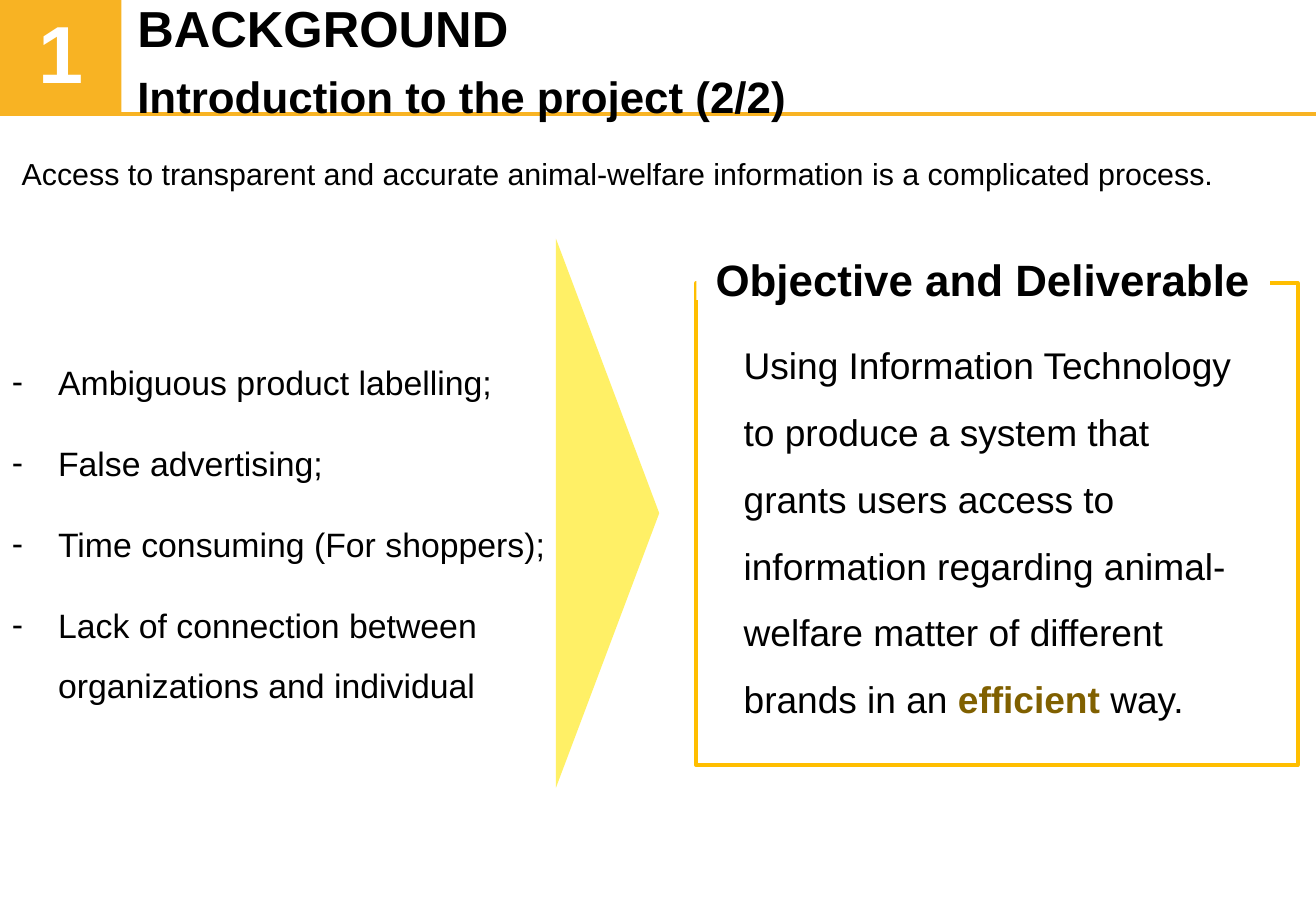
import pptx
import pptx.util
from pptx.dml.color import RGBColor
from pptx.enum.dml import MSO_FILL
from pptx.enum.shapes import MSO_CONNECTOR, MSO_SHAPE
from pptx.enum.text import MSO_ANCHOR, MSO_AUTO_SIZE, PP_ALIGN
from pptx.oxml.ns import qn
from lxml import etree

PX = 9144  # EMU per px, 100 px to the inch
ORANGE = RGBColor(0xF8, 0xB3, 0x23)
AMBER = RGBColor(0xFF, 0xBE, 0x00)
YELLOW = RGBColor(0xFF, 0xE6, 0x00)
BROWN = RGBColor(0x80, 0x60, 0x00)
BLACK = RGBColor(0, 0, 0)
WHITE = RGBColor(0xFF, 0xFF, 0xFF)


def add_block(kind, box, fill=None, line=None):
    sp = s.shapes.add_shape(kind, *[v * PX for v in box])
    sp.shadow.inherit = False
    if fill is None:
        sp.fill.background()
    else:
        sp.fill.solid()
        sp.fill.fore_color.rgb = fill
    if line is None:
        sp.line.fill.background()
    else:
        sp.line.color.rgb = line
        sp.line.width = pptx.util.Pt(2.25)
    return sp


def write(sp, paragraphs, insets=(10, 5, 10, 5), anchor=MSO_ANCHOR.TOP,
          before=0, **paragraph_format):
    """Fill a shape with paragraphs, each a list of (text, font values)."""
    tf = sp.text_frame
    frame = {"word_wrap": True, "auto_size": MSO_AUTO_SIZE.NONE, "vertical_anchor": anchor}
    for side, inset in zip(("left", "top", "right", "bottom"), insets):
        frame["margin_" + side] = inset * PX
    for name, value in frame.items():
        setattr(tf, name, value)
    for i, runs in enumerate(paragraphs):
        p = tf.paragraphs[0] if i == 0 else tf.add_paragraph()
        p.space_before = pptx.util.Pt(before if i else 0)
        for name, value in paragraph_format.items():
            setattr(p, name, value)
        for text, font in runs:
            r = p.add_run()
            r.text = text
            r.font.name = "Arial"
            r.font.color.rgb = font.get("color", BLACK)
            r.font.size = pptx.util.Pt(font["size"])
            r.font.bold = font.get("bold", False)
    return tf


prs = pptx.Presentation()
prs.slide_width, prs.slide_height = 1083 * PX, 750 * PX
s = prs.slides.add_slide(prs.slide_layouts[5])

# Header
number = add_block(MSO_SHAPE.RECTANGLE, (0, 0, 100, 94), fill=ORANGE)
write(number, [[("1", {"size": 48, "bold": True, "color": WHITE})]],
      anchor=MSO_ANCHOR.MIDDLE, alignment=PP_ALIGN.CENTER, line_spacing=0.9)

rule = s.shapes.add_connector(MSO_CONNECTOR.STRAIGHT, 0, 94 * PX, 1083 * PX, 94 * PX)
rule.line.color.rgb = ORANGE
rule.line.width = pptx.util.Pt(2.25)
etree.SubElement(rule.element.spPr, qn("a:effectLst"))

title = s.shapes.title
title.left, title.top, title.width, title.height = [v * PX for v in (103, -2, 980, 96)]
write(title, [[("BACKGROUND", {"size": 30, "bold": True})],
              [("Introduction to the project (2/2)", {"size": 26, "bold": True})]],
      before=10, alignment=PP_ALIGN.LEFT, line_spacing=0.9)
title.element.getparent().append(title.element)  # in front of the rule

# Lead sentence
lead = s.shapes.add_textbox(*[v * PX for v in (8, 108, 1067, 50)])
write(lead, [[("Access to transparent and accurate animal-welfare information "
               "is a complicated process.", {"size": 18})]], line_spacing=1.5)

# Arrow from problems to objective
arrow = add_block(MSO_SHAPE.ISOSCELES_TRIANGLE, (274, 380, 452, 85), fill=YELLOW)
arrow.rotation = 90
color = arrow.element.spPr.find(qn("a:solidFill"))[0]
etree.SubElement(color, qn("a:alpha"), val="60000")

# Objective
objective = add_block(MSO_SHAPE.RECTANGLE, (573, 233, 495, 397), line=AMBER)
write(objective, [[
    ("Using Information Technology to produce a system that grants users access to "
     "information regarding animal-welfare matter of different brands in an ", {"size": 22}),
    ("efficient", {"size": 22, "bold": True, "color": BROWN}),
    (" way.", {"size": 22})]],
    insets=(39, 31, 39, 39), alignment=PP_ALIGN.LEFT, line_spacing=1.5)
heading = add_block(MSO_SHAPE.RECTANGLE, (573, 212, 472, 35), fill=WHITE)
write(heading, [[("Objective and Deliverable", {"size": 26, "bold": True})]],
      insets=(0, 0, 0, 0), anchor=MSO_ANCHOR.MIDDLE, alignment=PP_ALIGN.CENTER)

# Problems
PROBLEMS = ["Ambiguous product labelling;", "False advertising;",
            "Time consuming (For shoppers);",
            "Lack of connection between organizations and individual"]
problems = s.shapes.add_textbox(*[v * PX for v in (0, 271, 483, 320)])
tf = write(problems, [[(text, {"size": 20})] for text in PROBLEMS],
           anchor=MSO_ANCHOR.MIDDLE, before=6, line_spacing=1.5,
           space_after=pptx.util.Pt(6))
for p in tf.paragraphs:
    pPr = p._p.get_or_add_pPr()
    pPr.set("marL", str(38 * PX))
    pPr.set("indent", str(-38 * PX))
    etree.SubElement(pPr, qn("a:buFont"), typeface="Arial")
    etree.SubElement(pPr, qn("a:buChar"), char="-")

prs.save("out.pptx")
